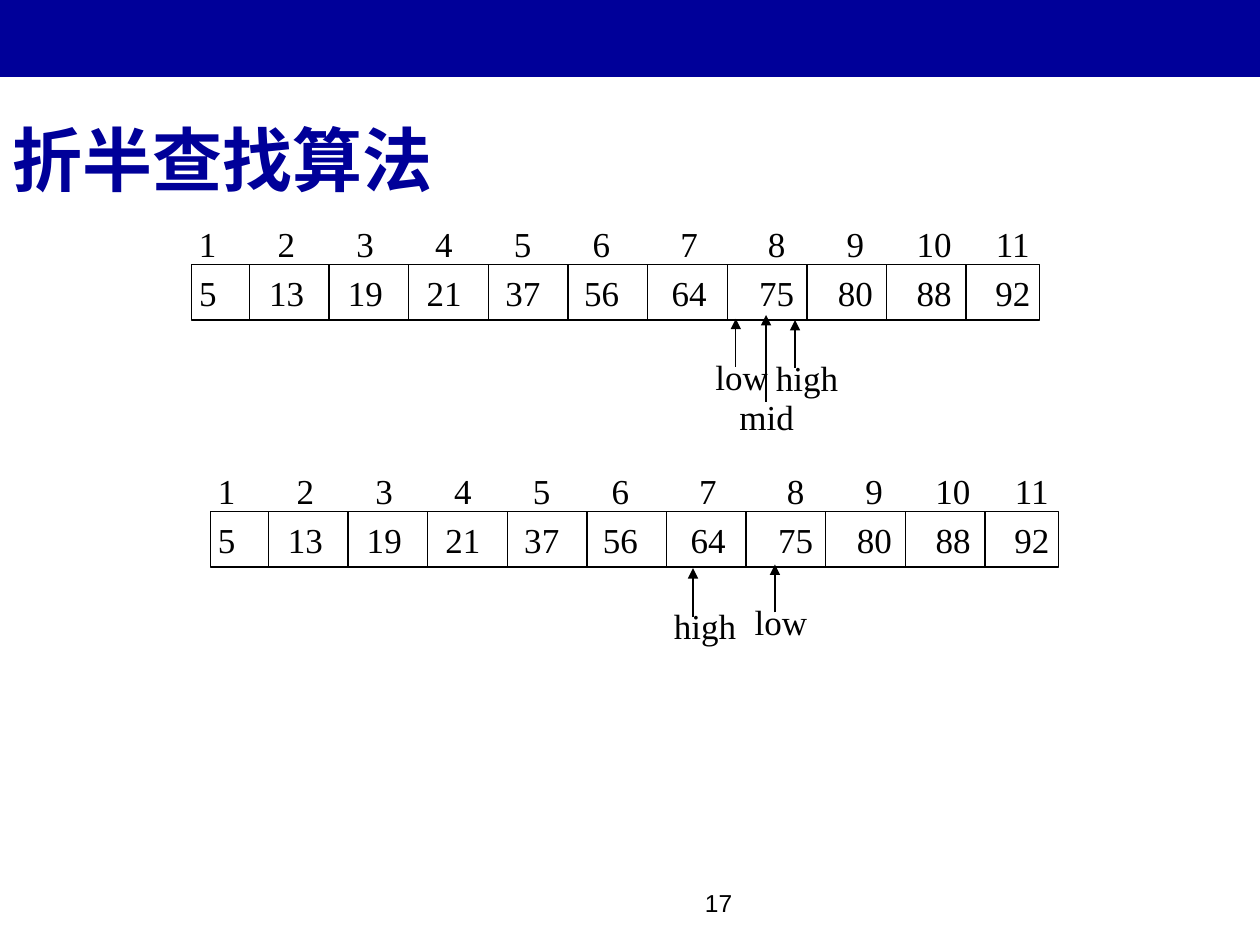
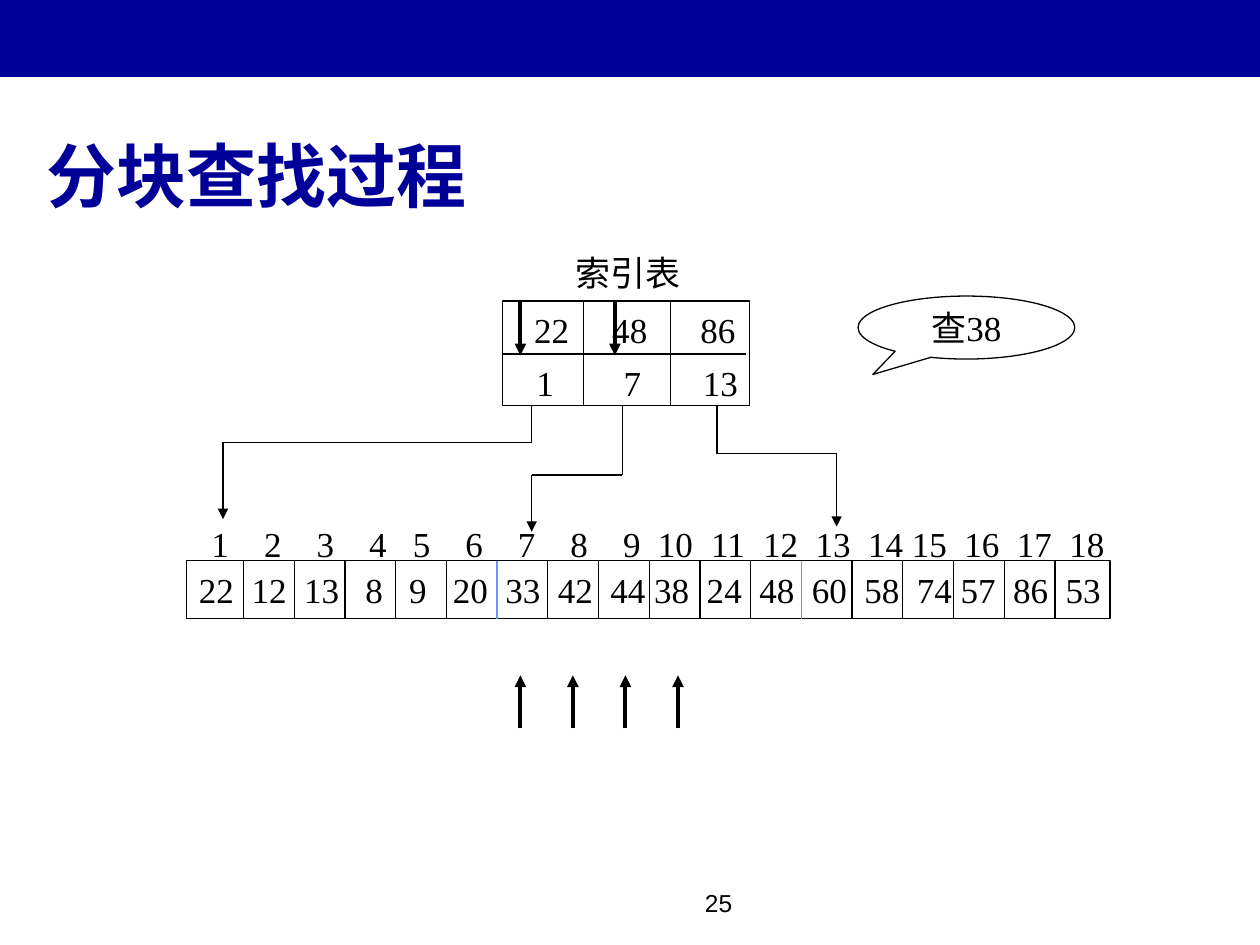
import pptx
import pptx.dml.color
import pptx.enum.shapes
import pptx.enum.text
import pptx.oxml.ns
import pptx.util
from lxml import etree

Inches = pptx.util.Inches
Color = pptx.dml.color.RGBColor.from_string
Align = pptx.enum.text.PP_ALIGN
Anchor = pptx.enum.text.MSO_ANCHOR
Shape = pptx.enum.shapes.MSO_SHAPE
qn = pptx.oxml.ns.qn

NAVY, BLACK, LIGHT_BLUE = "000099", "000000", "6699FF"
SERIF, SANS, TITLE_FONT = "Times New Roman", "Arial", "Noto Sans CJK SC"


def add_line(page, x1, y1, x2, y2, color=BLACK, weight=0.75, arrow=False):
    line = page.shapes.add_connector(
        pptx.enum.shapes.MSO_CONNECTOR.STRAIGHT,
        Inches(x1), Inches(y1), Inches(x2), Inches(y2))
    line.line.color.rgb = Color(color)
    line.line.width = pptx.util.Pt(weight)
    if arrow:
        etree.SubElement(line.line._get_or_add_ln(), qn("a:tailEnd"), type="triangle")
    etree.SubElement(line._element.spPr, qn("a:effectLst"))


def add_text(page, left, top, width, height, text, centres=(), preset=None,
             pad=0.1, size=20, font=SERIF, align=Align.LEFT):
    """Add text, outlined if a preset is given; centres are the tab stops of a row."""
    place = [Inches(length) for length in (left, top, width, height)]
    if preset is None:
        box = page.shapes.add_textbox(*place)
    else:
        box = page.shapes.add_shape(preset, *place)
        box.shadow.inherit = False
        box.fill.background()
        box.line.color.rgb = Color(BLACK)
        box.line.width = pptx.util.Pt(0.75)
        box.text_frame.vertical_anchor = Anchor.MIDDLE
    frame = box.text_frame
    frame.word_wrap = True
    frame.margin_left = Inches(pad)
    if align == Align.LEFT:
        frame.margin_right = 0  # keeps tight labels and rows on one line
    para = frame.paragraphs[0]
    para.text = text
    para.alignment = align
    if centres:
        stops = etree.SubElement(para._p.get_or_add_pPr(), qn("a:tabLst"))
        for centre in centres:
            etree.SubElement(stops, qn("a:tab"), pos=str(Inches(centre)), algn="ctr")
    para.font.name = font
    para.font.size = pptx.util.Pt(size)
    para.font.color.rgb = Color(BLACK)
    return box


deck = pptx.Presentation()
deck.slide_width, deck.slide_height = Inches(10), Inches(7.5)

# Title and page number of each slide
pages = []
for heading, number, place in [
    ("折半查找算法", "17", (0, 0.39, 7.83, 1.25)),
    ("分块查找过程", "25", (0.27, 0.6, 7.42, 1.17)),
]:
    page = deck.slides.add_slide(deck.slide_layouts[5])
    title = page.shapes.title
    title.left, title.top, title.width, title.height = map(Inches, place)
    title.text_frame.vertical_anchor = Anchor.BOTTOM
    title.text_frame.auto_size = pptx.enum.text.MSO_AUTO_SIZE.NONE
    para = title.text_frame.paragraphs[0]
    para.text = heading
    para.alignment = Align.LEFT
    para.font.name = TITLE_FONT
    para.font.size = pptx.util.Pt(40)
    para.font.bold = True
    para.font.color.rgb = Color(NAVY)
    etree.SubElement(para._p.pPr.find(qn("a:defRPr")), qn("a:ea"), typeface=TITLE_FONT)
    add_text(page, 3.83, 7, 2.08, 0.5, number, size=14, font=SANS, align=Align.RIGHT)
    pages.append(page)
binary_page, block_page = pages

# The band belongs to the master, behind everything
band = binary_page.shapes.add_shape(
    Shape.RECTANGLE, Inches(-0.01), 0, Inches(10.01), Inches(0.61))
band.shadow.inherit = False
band.fill.solid()
band.fill.fore_color.rgb = Color(NAVY)
band.line.fill.background()
deck.slide_master.shapes._spTree.insert(2, band._element)

# Binary search: the sorted list at two steps
sorted_keys = [5, 13, 19, 21, 37, 56, 64, 75, 80, 88, 92]
indexes = "\t".join(str(i + 1) for i in range(len(sorted_keys)))
keys = "\t".join(map(str, sorted_keys))
# Columns are evenly spaced, with a wider gap before the 7th and the 8th
centres = [0.07 + 0.625 * i + 0.07 * ((i > 5) + (i > 6))
           for i in range(1, len(sorted_keys))]
for left, top in [(1.52, 2.1), (1.67, 4.06)]:
    add_text(binary_page, left - 0.04, top - 0.38, 6.81, 0.44, indexes, centres)
    add_text(binary_page, left, top, 6.73, 0.44, keys, centres, Shape.RECTANGLE, pad=0.06)
    for i in range(len(sorted_keys) - 1):
        x = left + 0.46 + 0.632 * i
        add_line(binary_page, x, top, x, top + 0.45)

for name, x, tip, foot, left, top, width in [
    ("low", 5.84, 2.53, 2.91, 5.58, 2.77, 0.61),
    ("high", 6.31, 2.54, 2.92, 6.06, 2.78, 0.69),
    ("mid", 6.08, 2.5, 3.19, 5.77, 3.09, 0.63),
    ("low", 6.15, 4.48, 4.86, 5.89, 4.72, 0.61),
    ("high", 5.5, 4.51, 4.9, 5.25, 4.75, 0.69),
]:
    add_line(binary_page, x, foot, x, tip, arrow=True)
    add_text(binary_page, left, top, width, 0.44, name)

# Block search: the list in three blocks
block_keys = [22, 12, 13, 8, 9, 20, 33, 42, 44, 38, 24, 48, 60, 58, 74, 57, 86, 53]
indexes = "\t".join(str(i + 1) for i in range(len(block_keys)))
keys = "\t".join(map(str, block_keys))
# Every fifth gap is narrower; among the keys the last narrow gap follows 74
offsets = [0.417 * i - 0.07 * ((i + 1) // 5) for i in range(1, len(block_keys))]
key_centres = [0.14 + x for x in offsets]
key_centres[block_keys.index(74) - 1] += 0.07
add_text(block_page, 1.58, 4.1, 7.3, 0.44, indexes, [0.07 + x for x in offsets])
add_text(block_page, 1.48, 4.45, 7.33, 0.46, keys, key_centres, Shape.RECTANGLE)
for i in range(1, len(block_keys)):
    x = 1.53 + 0.4025 * i
    add_line(block_page, x, 4.45, x, 4.91, LIGHT_BLUE if i in (6, 12) else BLACK)

# Index table: largest key and first position of each block
add_text(block_page, 4.47, 1.95, 1.03, 0.44, "索引表")
add_text(block_page, 3.99, 2.39, 1.96, 0.83, "", preset=Shape.RECTANGLE)
add_line(block_page, 3.99, 2.81, 5.92, 2.81)
for x in (4.63, 5.32):
    add_line(block_page, x, 2.39, x, 3.22)
add_text(block_page, 4.14, 2.4, 1.8, 0.44, "22\t48\t86", [0.76, 1.46])
add_text(block_page, 4.16, 2.82, 1.8, 0.44, "1\t7\t13", [0.76, 1.46])

# Paths from the index table to the blocks
for start, bend, end, tip in [(4.22, 3.51, 1.77, 4.12), (4.94, 3.77, 4.22, 4.22),
                              (5.69, 3.6, 6.64, 4.18)]:
    add_line(block_page, start, 3.22, start, bend)
    add_line(block_page, start, bend, end, bend)
    add_line(block_page, end, bend, end, tip, arrow=True)

callout = add_text(block_page, 6.81, 2.35, 1.72, 0.5, "查38",
                   preset=Shape.OVAL_CALLOUT, align=Align.CENTER)
callout.adjustments[0], callout.adjustments[1] = -0.432, 0.745

# Keys compared during the search
for x in (4.13, 4.88):
    add_line(block_page, x, 2.4, x, 2.82, weight=2.25, arrow=True)
for i in range(4):
    x = 4.13 + 0.417 * i
    add_line(block_page, x, 5.78, x, 5.36, weight=2.25, arrow=True)

deck.save("out.pptx")
